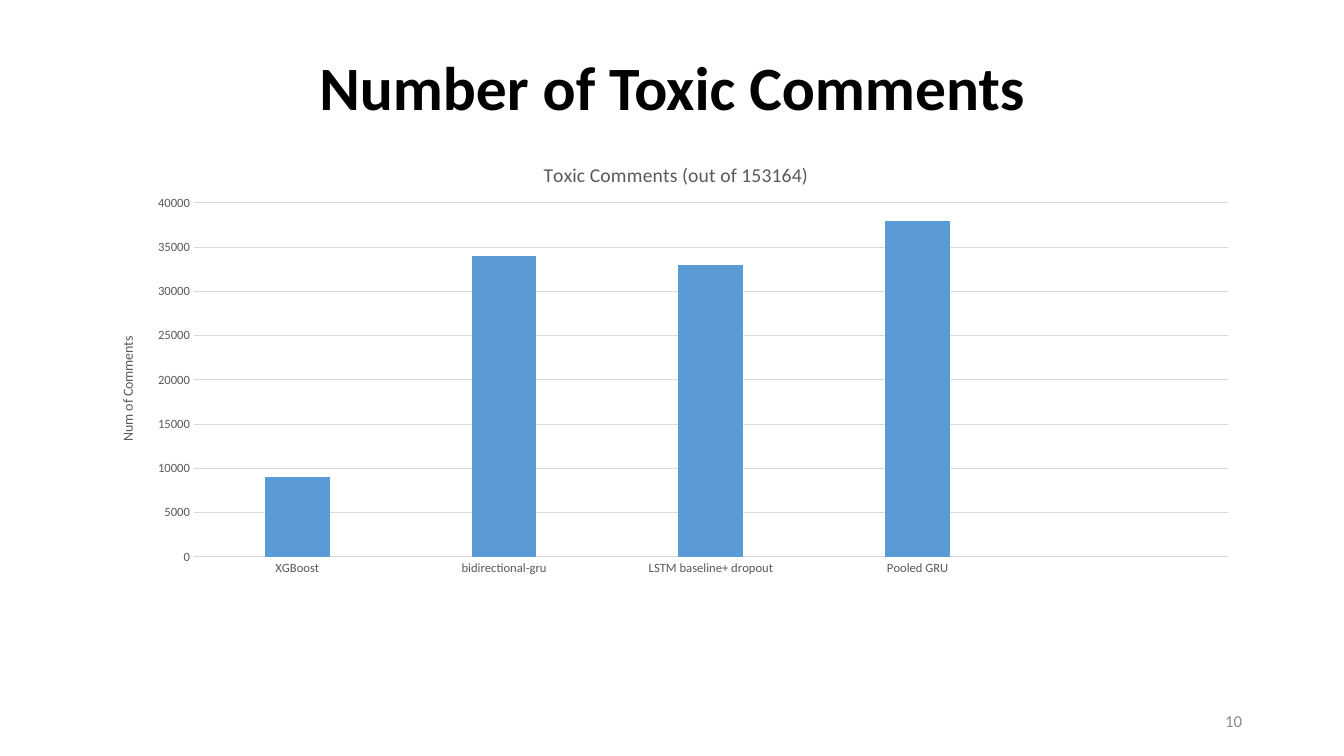
from lxml import etree
from pptx import Presentation
from pptx.chart.data import CategoryChartData
from pptx.dml.color import RGBColor
from pptx.enum.chart import XL_CHART_TYPE, XL_TICK_MARK
from pptx.enum.text import MSO_ANCHOR, PP_ALIGN
from pptx.oxml.ns import qn
from pptx.util import Pt

COLUMN = XL_CHART_TYPE.COLUMN_CLUSTERED
NO_TICK = XL_TICK_MARK.NONE
MIDDLE = MSO_ANCHOR.MIDDLE
CENTER, RIGHT = PP_ALIGN.CENTER, PP_ALIGN.RIGHT

PIXEL = 914400 / 100.8
FACE = "Calibri"
COLORS = {"title": "000000", "label": "595959", "grid": "D9D9D9",
          "bar": "5B9BD5", "number": "8C8C8C"}

# text, box (left, top, width, height), size, color, bold, alignment
TEXTS = [
    ("Number of Toxic Comments", (93, 40, 1159, 92), 44, "title", True, CENTER),
    ("10", (950, 701, 302, 40), 12, "number", False, RIGHT),
]
# The last slot of the chart is left empty.
COUNTS = [("XGBoost", 9000), ("bidirectional-gru", 34000),
          ("LSTM baseline+ dropout", 33000), ("Pooled GRU", 38000), ("", None)]
CHART = (93, 138, 1159, 448)
PLOT = (194, 203, 1034, 354)
HEADING = ("Toxic Comments (out of 153164)", 14, (540, 158))
AXIS = ("Num of Comments", 10, (116, 334))


def emu(box):
    """Turn pixel lengths into EMU."""
    return [round(part * PIXEL) for part in box]


def tint(name):
    """Look up a color by its role."""
    return RGBColor.from_string(COLORS[name])


def style(font, size, color, bold=False):
    """Set face, size, color and weight of a font."""
    font.name, font.size, font.bold = FACE, Pt(size), bold
    font.color.rgb = tint(color)


def add_text(slide, text, box, size, color, bold, align):
    """Add one line of text, centered vertically in its box."""
    frame = slide.shapes.add_textbox(*emu(box)).text_frame
    frame.word_wrap = True
    frame.vertical_anchor = MIDDLE
    line = frame.paragraphs[0]
    line.text, line.alignment = text, align
    style(line.font, size, color, bold)


def place(node, index, box, inner=False):
    """Fix a chart part at a pixel position, as fractions of the chart."""
    for old in node.findall(qn("c:layout")):
        node.remove(old)
    layout = etree.Element(qn("c:layout"))
    manual = etree.SubElement(layout, qn("c:manualLayout"))
    left, top, width, height = CHART
    shares = [(box[0] - left) / width, (box[1] - top) / height]
    shares += [part / full for part, full in zip(box[2:], (width, height))]
    marks = [("layoutTarget", "inner")] if inner else []
    marks += [("xMode", "edge"), ("yMode", "edge")]
    marks += [(key, f"{share:.4f}") for key, share in zip("xywh", shares)]
    for key, value in marks:
        etree.SubElement(manual, qn(f"c:{key}")).set("val", value)
    node.insert(index, layout)


def add_title(title, text, size, spot):
    """Write a chart or axis title and set its place."""
    line = title.text_frame.paragraphs[0]
    line.text = text
    style(line.font, size, "label")
    place(title._element, 1, spot)


def rule(line):
    """Draw a thin gray line."""
    line.color.rgb = tint("grid")
    line.width = Pt(0.75)


def add_chart(slide):
    """Add the column chart of toxic comments."""
    data = CategoryChartData()
    data.categories = [name for name, _ in COUNTS]
    data.add_series("Series 1", [count for _, count in COUNTS])
    chart = slide.shapes.add_chart(COLUMN, *emu(CHART), data).chart
    style(chart.font, 10, "title")
    chart.has_legend = False
    add_title(chart.chart_title, *HEADING)

    models, scale = chart.category_axis, chart.value_axis
    for axis in (models, scale):
        axis.major_tick_mark = axis.minor_tick_mark = NO_TICK
        style(axis.tick_labels.font, 9, "label")
    rule(models.format.line)
    scale.format.line.fill.background()
    scale.minimum_scale, scale.maximum_scale = 0, 40000
    scale.major_unit = 5000
    rule(scale.major_gridlines.format.line)
    add_title(scale.axis_title, *AXIS)

    plot = chart.plots[0]
    plot.gap_width, plot.overlap = 219, -27
    plot.vary_by_categories = False
    fill = plot.series[0].format.fill
    fill.solid()
    fill.fore_color.rgb = tint("bar")
    area = chart._chartSpace.find(f".//{qn('c:plotArea')}")
    place(area, 0, PLOT, inner=True)


deck = Presentation()
deck.slide_width, deck.slide_height = emu((1344, 756))
page = deck.slides.add_slide(deck.slide_layouts[6])
add_chart(page)
for item in TEXTS:
    add_text(page, *item)
deck.save("out.pptx")
